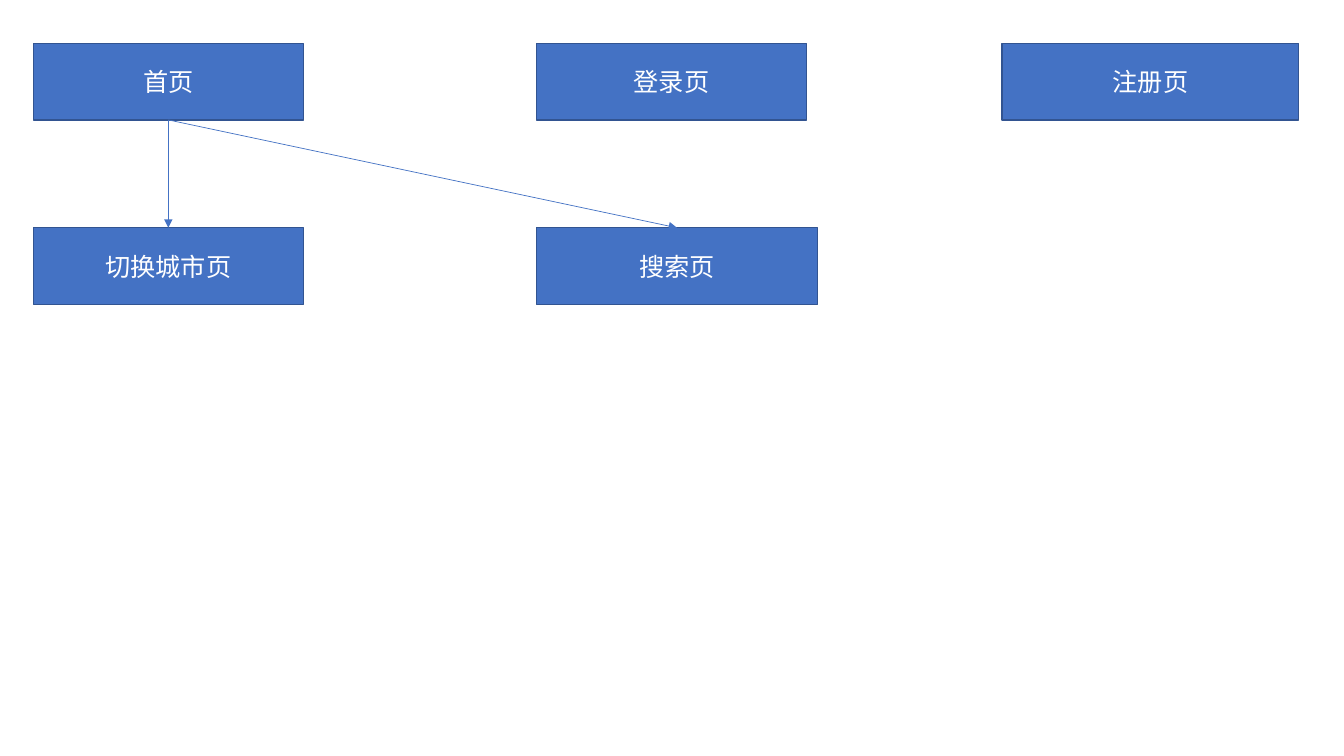
from lxml import etree
from pptx import Presentation
from pptx.dml.color import RGBColor
from pptx.enum.shapes import MSO_CONNECTOR, MSO_SHAPE
from pptx.enum.text import MSO_ANCHOR, PP_ALIGN
from pptx.oxml.ns import qn
from pptx.util import Inches, Pt

COLORS = {"fill": "4472C4", "border": "325491", "arrow": "4472C4", "text": "FFFFFF"}
FONT = "Noto Sans CJK SC"
BOX_HEIGHT = 0.76
TOP_ROW, SUB_ROW = 0.43, 2.26
COLUMNS = (0.33, 5.32, 9.94)
BOTTOM, TOP = 2, 0  # rectangle connection sites

# label: (column, row, width)
PAGES = {
    "首页": (0, TOP_ROW, 2.68),
    "切换城市页": (0, SUB_ROW, 2.68),
    "搜索页": (1, SUB_ROW, 2.79),
    "登录页": (1, TOP_ROW, 2.68),
    "注册页": (2, TOP_ROW, 2.94),
}
LINKS = [("首页", "切换城市页"), ("首页", "搜索页")]


def color(name):
    """Return the named colour."""
    return RGBColor.from_string(COLORS[name])


def add_page_box(slide, label, left, top, width):
    """Draw one page of the site map with its centred name."""
    box = slide.shapes.add_shape(MSO_SHAPE.RECTANGLE, Inches(left), Inches(top),
                                 Inches(width), Inches(BOX_HEIGHT))
    box.shadow.inherit = False
    box.fill.solid()
    box.fill.fore_color.rgb = color("fill")
    box.line.color.rgb = color("border")
    box.line.width = Pt(1)
    box.text_frame.vertical_anchor = MSO_ANCHOR.MIDDLE
    paragraph = box.text_frame.paragraphs[0]
    paragraph.alignment = PP_ALIGN.CENTER
    run = paragraph.add_run()
    run.text = label
    run.font.size = Pt(18)
    run.font.name = FONT
    run.font.color.rgb = color("text")
    east_asian = etree.SubElement(run.font._element, qn("a:ea"))
    east_asian.set("typeface", FONT)
    return box


def add_link(slide, parent, child):
    """Draw an arrow from the bottom of parent to the top of child."""
    link = slide.shapes.add_connector(MSO_CONNECTOR.STRAIGHT, 0, 0, 0, 0)
    link.begin_connect(parent, BOTTOM)
    link.end_connect(child, TOP)
    link.line.color.rgb = color("arrow")
    link.line.width = Pt(0.5)
    etree.SubElement(link.line._get_or_add_ln(), qn("a:tailEnd"), type="triangle")
    etree.SubElement(link._element.spPr, qn("a:effectLst"))


def add_site_map(slide):
    """Place all the pages on the column grid and link them."""
    boxes = {label: add_page_box(slide, label, COLUMNS[column], row, width)
             for label, (column, row, width) in PAGES.items()}
    for parent, child in LINKS:
        add_link(slide, boxes[parent], boxes[child])


prs = Presentation()
prs.slide_width, prs.slide_height = Inches(13.33), Inches(7.5)
add_site_map(prs.slides.add_slide(prs.slide_layouts[6]))
prs.save("out.pptx")
